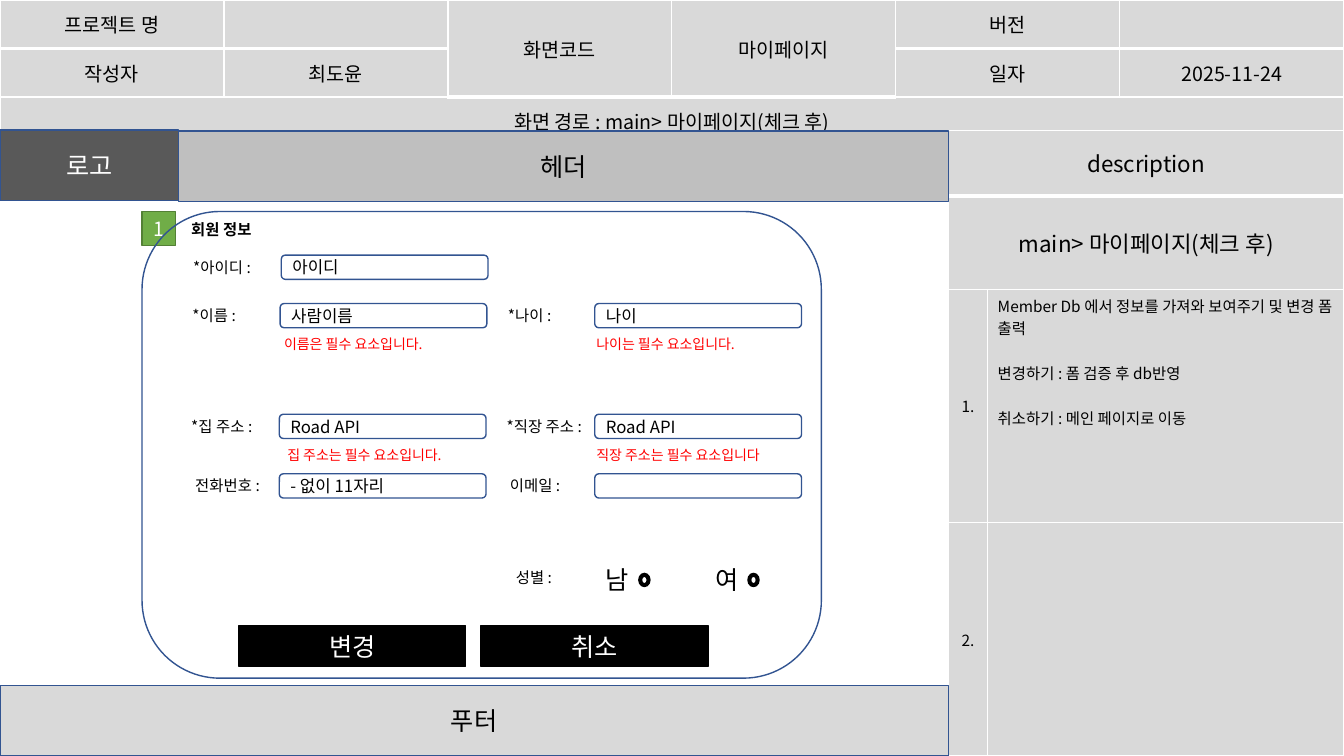
from dataclasses import dataclass
from lxml.etree import SubElement
from pptx import Presentation
from pptx.dml.color import RGBColor as Rgb
from pptx.enum.shapes import MSO_SHAPE as Kind
from pptx.enum.text import MSO_ANCHOR as Anchor, PP_ALIGN as Align
from pptx.oxml import parse_xml
from pptx.oxml.ns import nsdecls, qn
from pptx.util import Cm, Pt


@dataclass(frozen=True)
class Theme:
    font: str = "Noto Sans CJK KR"
    black: str = "000000"
    white: str = "FFFFFF"
    pale: str = "D9D9D9"
    mid: str = "BFBFBF"
    dark: str = "595959"
    blue: str = "325491"
    green: str = "70AD47"
    moss: str = "538035"
    red: str = "FF0000"
    big: int = 18
    head: int = 16
    cell: int = 14
    field: int = 12
    label: int = 11
    hint: int = 10


T = Theme()
WIDE, HIGH = 33.87, 19.05

INFO = [
    ["프로젝트 명", "", "화면코드", "마이페이지", "버전", ""],
    ["작성자", "최도윤", "", "", "일자", "2025-11-24"],
    ["화면 경로 : main> 마이페이지(체크 후)", "", "", "", "", ""],
]
INFO_SPANS = [(0, 2, 1, 2), (0, 3, 1, 3), (2, 0, 2, 5)]

NOTES = [
    ["description", ""],
    ["main> 마이페이지(체크 후)", ""],
    ["1.", ["Member Db 에서 정보를 가져와 보여주기 및 변경 폼 출력",
            "변경하기 : 폼 검증 후 db반영",
            "취소하기 : 메인 페이지로 이동"]],
    ["2.", ""],
]
NOTE_SPANS = [(0, 0, 0, 1), (1, 0, 1, 1)]

BARS = [
    ("헤더", 4.5, 3.3, 19.4, T.mid, T.black),
    ("로고", 0, 3.28, 4.5, T.dark, T.white),
    ("푸터", 0, 17.27, 23.9, T.pale, T.black),
]

FORM = [
    (6.43, "*아이디 :", 4.62, 2.13, "아이디", 7.09, "", 0),
    (7.65, "*이름 :", 4.6, 1.78, "사람이름", 7.06, "이름은 필수 요소입니다.", 6.91),
    (7.65, "*나이 :", 12.55, 1.78, "나이", 14.99, "나이는 필수 요소입니다.", 14.78),
    (10.44, "*집 주소 :", 4.57, 2.18, "Road API", 7.04, "집 주소는 필수 요소입니다.", 6.99),
    (10.44, "*직장 주소 :", 12.52, 2.51, "Road API", 14.99, "직장 주소는 필수 요소입니다", 14.78),
    (11.94, "전화번호 :", 4.67, 2.41, "- 없이 11자리", 7.04, "", 0),
    (11.94, "이메일 :", 12.6, 2.41, "", 14.99, "", 0),
]
CHOICES = [("남", 15.01, 16.1), ("여", 17.78, 18.85)]
BUTTONS = [("변경", 6.02), ("취소", 12.12)]


def write(para, text, size, color=T.black, align=Align.LEFT, bold=False):
    para.alignment = align
    run = para.add_run()
    run.text = text
    font = run.font
    font.name, font.size, font.bold = T.font, Pt(size), bold
    font.color.rgb = Rgb.from_string(color)
    SubElement(font._element, qn("a:ea")).set("typeface", T.font)


def shape(kind, x, y, w, h, fill, line):
    item = page.shapes.add_shape(kind, Cm(x), Cm(y), Cm(w), Cm(h))
    item.shadow.inherit = False
    if fill:
        item.fill.solid()
        item.fill.fore_color.rgb = Rgb.from_string(fill)
    else:
        item.fill.background()
    item.line.color.rgb = Rgb.from_string(line)
    item.line.width = Pt(1)
    return item


def block(kind, x, y, w, h, fill, line, text, size, color, align=Align.CENTER):
    frame = shape(kind, x, y, w, h, fill, line).text_frame
    frame.word_wrap = True
    frame.vertical_anchor = Anchor.MIDDLE
    if text:
        write(frame.paragraphs[0], text, size, color, align)


def label(text, x, y, w, h, size, color=T.black, bold=False):
    frame = page.shapes.add_textbox(Cm(x), Cm(y), Cm(w), Cm(h)).text_frame
    frame.word_wrap = True
    frame.margin_right = 0
    write(frame.paragraphs[0], text, size, color, bold=bold)


def border(cell, thick):
    props = cell._tc.get_or_add_tcPr()
    for i, side in enumerate("LRTB"):
        width = Pt(3 if thick and side == "B" else 1)
        props.insert(i, parse_xml(
            f'<a:ln{side} {nsdecls("a")} w="{width}"><a:solidFill>'
            f'<a:srgbClr val="{T.white}"/></a:solidFill></a:ln{side}>'))


def table(data, spans, x, y, cols, rows, sizes, thick, pad):
    grid = page.shapes.add_table(len(rows), len(cols), Cm(x), Cm(y),
                                 Cm(sum(cols)), Cm(sum(rows))).table
    grid.first_row = grid.horz_banding = False
    for col, width in zip(grid.columns, cols):
        col.width = Cm(width)
    for row, height in zip(grid.rows, rows):
        row.height = Cm(height)
    for r, line in enumerate(data):
        for c, text in enumerate(line):
            cell = grid.cell(r, c)
            cell.fill.solid()
            cell.fill.fore_color.rgb = Rgb.from_string(T.pale)
            border(cell, (r, c) in thick)
            cell.margin_top = cell.margin_bottom = Cm(pad)
            many = isinstance(text, list)
            cell.vertical_anchor = Anchor.TOP if many else Anchor.MIDDLE
            frame = cell.text_frame
            for i, part in enumerate(text if many else [text]):
                para = frame.add_paragraph() if i else frame.paragraphs[0]
                if i:
                    para.space_before = Pt(16)
                if part:
                    write(para, part, sizes[r], align=Align.LEFT if many else Align.CENTER)
                else:
                    para.font.size = Pt(sizes[r])
    for top, left, low, right in spans:
        grid.cell(top, left).merge(grid.cell(low, right))


deck = Presentation()
deck.slide_width, deck.slide_height = Cm(WIDE), Cm(HIGH)
page = deck.slides.add_slide(deck.slide_layouts[6])

table(INFO, INFO_SPANS, 0, 0, [WIDE / 6] * 6, [1.04] * 3, [T.cell] * 3,
      {(0, c) for c in range(6)} | {(1, 2), (1, 3)}, 0.25)
table(NOTES, NOTE_SPANS, 23.9, 3.28, [0.99, 8.98], [1.65, 2.36, 5.88, 5.88],
      [T.head, T.head, T.label, T.label], {(0, 0), (0, 1)}, 0.13)

for text, x, y, w, fill, color in BARS:
    block(Kind.RECTANGLE, x, y, w, 1.78, fill, T.blue, text, T.big, color)

block(Kind.RECTANGLE, 3.58, 5.33, 0.84, 0.86, T.green, T.moss, "1", T.cell, T.white)
label("회원 정보", 4.57, 5.41, 2.77, 0.74, T.label, bold=True)

for y, name, left, w, value, x, hint, start in FORM:
    block(Kind.ROUNDED_RECTANGLE, x, y, 5.21, 0.61, T.white, T.blue,
          value, T.field, T.black, Align.LEFT)
    label(name, left, y - 0.06, w, 0.74, T.label)
    if hint:
        label(hint, start, y + 0.69, 11.2, 0.69, T.hint, T.red)

shape(Kind.ROUNDED_RECTANGLE, 3.58, 5.33, 17.12, 11.76, None, T.blue)

label("성별 :", 12.75, 14.2, 2.41, 0.74, T.label)
for text, x, ring in CHOICES:
    label(text, x, 14.1, 1.02, 1.02, T.big)
    shape(Kind.DONUT, ring, 14.45, 0.28, 0.33, T.black, T.black)

for text, x in BUTTONS:
    block(Kind.RECTANGLE, x, 15.77, 5.72, 1.02, T.black, T.black, text, T.big, T.white)

deck.save("out.pptx")
